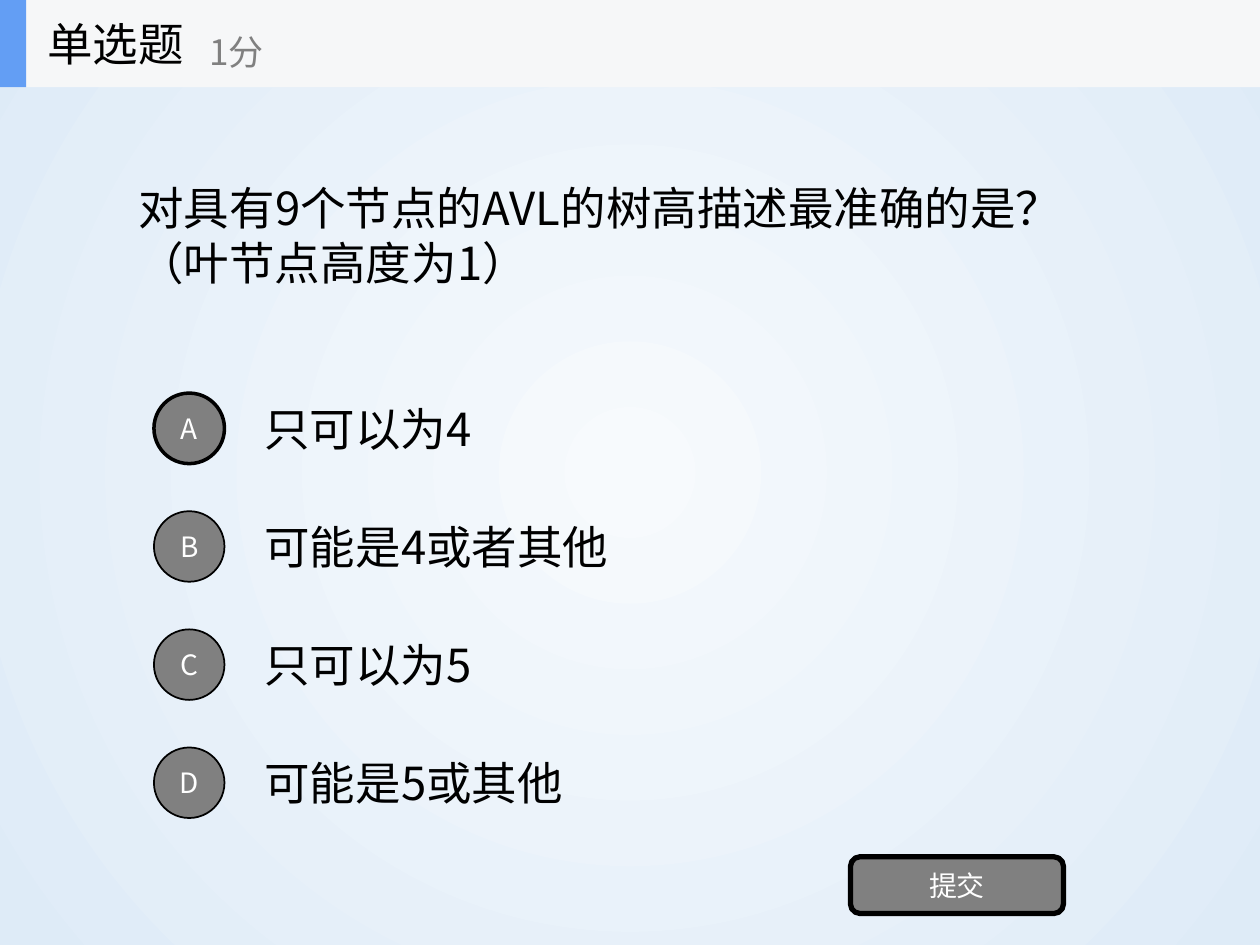
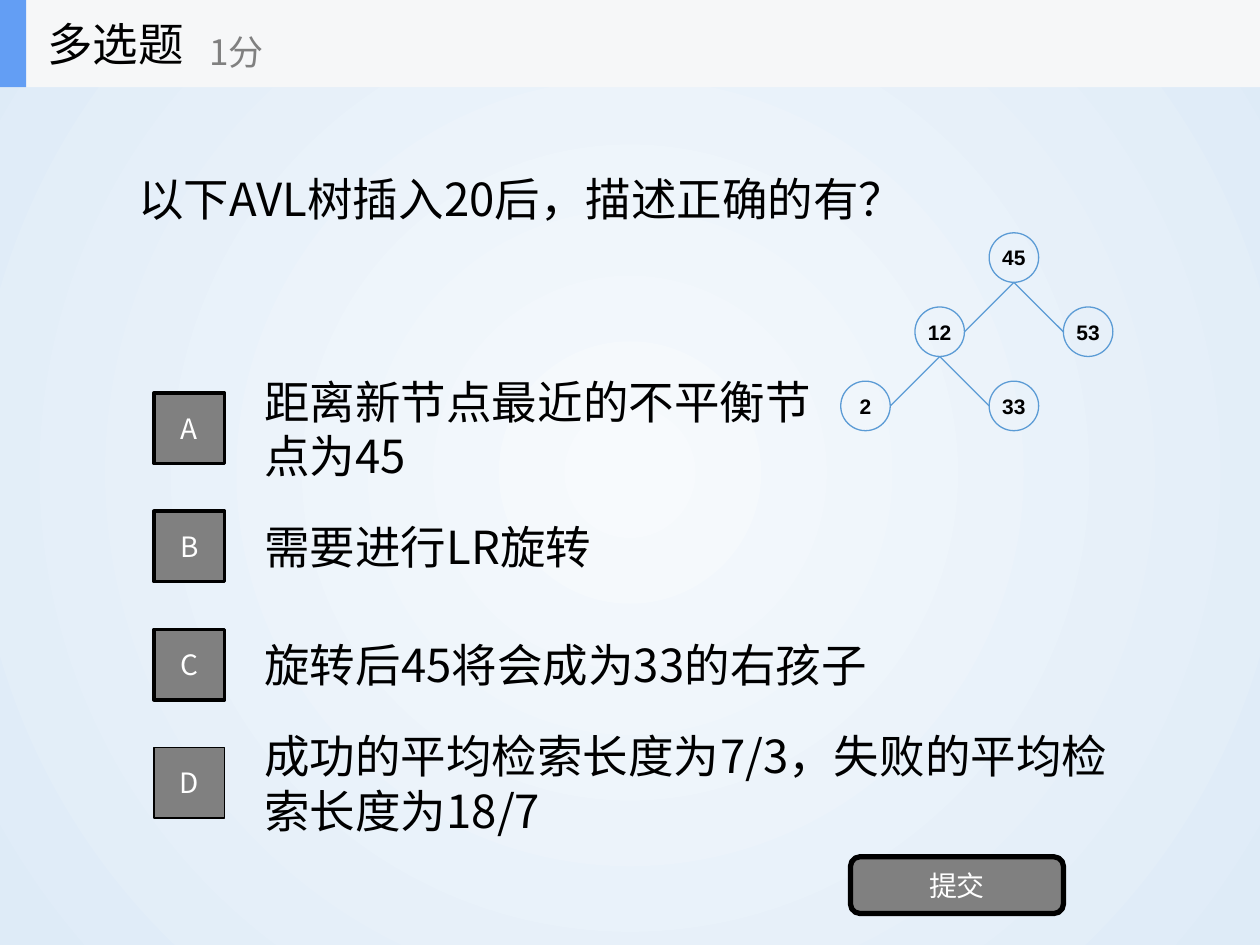
from lxml import etree
from pptx import Presentation
from pptx.dml.color import RGBColor
from pptx.enum import shapes, text
from pptx.oxml import ns
from pptx.util import Pt

SHAPE = shapes.MSO_SHAPE
CJK = "Noto Sans CJK SC"
BLACK, WHITE, GREY = "000000", "FFFFFF", "808080"
BAND, ACCENT, TREE_LINE = "F6F7F8", "639EF4", "5B9BD5"
GLOW_CENTRE, GLOW_EDGE = "F7FAFD", "DEEBF7"
PAGE_WIDTH, PAGE_HEIGHT = 720, 540
OPTION_PITCH, OPTION_HEIGHT, MARKER_SIZE = 67.5, 50.4, 40.3
NODE_SIZE, LEVEL_STEP = 28.3, 42.4


def colour(hex_string):
    """Turn a hex string into a colour."""
    return RGBColor.from_string(hex_string)


def write(shape, words, size, ink, font=CJK, bold=None, centred=False, wrap=True):
    """Write one middle-anchored paragraph into a shape."""
    frame = shape.text_frame
    frame.word_wrap = wrap
    frame.vertical_anchor = text.MSO_ANCHOR.MIDDLE
    para = frame.paragraphs[0]
    para.alignment = text.PP_ALIGN.CENTER if centred else text.PP_ALIGN.LEFT
    span = para.add_run()
    span.text = words
    span.font.size = Pt(size)
    span.font.name = font
    span.font.bold = bold
    span.font.color.rgb = colour(ink)
    etree.SubElement(span.font._element, ns.qn("a:ea"), typeface=font)


def add_label(parent, box, words, size, ink=BLACK, wrap=True):
    """Add a text box at the given left, top, width and height."""
    label = parent.add_textbox(*map(Pt, box))
    write(label, words, size, ink, wrap=wrap)


def add_figure(parent, kind, box, fill=None, line=None, weight=1):
    """Add a preset shape with an optional fill and outline."""
    figure = parent.add_shape(kind, *map(Pt, box))
    figure.shadow.inherit = False
    if fill:
        figure.fill.solid()
        figure.fill.fore_color.rgb = colour(fill)
    else:
        figure.fill.background()
    if line:
        figure.line.color.rgb = colour(line)
        figure.line.width = Pt(weight)
    else:
        figure.line.fill.background()
    return figure


def paint_background(master):
    """Give the master a round glow from the centre outwards."""
    fill = master.background.fill
    fill.gradient()
    for stop, shade in zip(fill.gradient_stops, (GLOW_CENTRE, GLOW_EDGE)):
        stop.color.rgb = colour(shade)
    linear = master.element.find(".//" + ns.qn("p:bgPr")).find(".//" + ns.qn("a:lin"))
    glow = etree.Element(ns.qn("a:path"), {"path": "circle"})
    etree.SubElement(glow, ns.qn("a:fillToRect"), dict.fromkeys("ltrb", "50000"))
    linear.getparent().replace(linear, glow)


def add_header(page, title, score):
    """Draw the top band with the question type and its score."""
    band = page.shapes.add_group_shape().shapes
    height = 49.8
    add_figure(band, SHAPE.RECTANGLE, (0, 0, PAGE_WIDTH, height), BAND)
    add_figure(band, SHAPE.RECTANGLE, (0, 0, 15, height), ACCENT)
    add_label(band, (20, 0, 150, height), title, 26, wrap=False)
    add_label(band, (112.5, 9, 180, 40.3), score, 20, GREY, wrap=False)


def add_options(page, marker_kind, options, left=88, top=219.6):
    """List the lettered options as (words, text width, marker outline) rows."""
    for row, (letter, (words, width, weight)) in enumerate(zip("ABCD", options)):
        y = top + row * OPTION_PITCH
        marker_top = y + (OPTION_HEIGHT - MARKER_SIZE) / 2
        add_label(page.shapes, (left + 56, y, width, OPTION_HEIGHT), words, 26)
        marker = add_figure(page.shapes, marker_kind,
                            (left, marker_top, MARKER_SIZE, MARKER_SIZE), GREY, BLACK, weight)
        write(marker, letter, 16, WHITE, centred=True, wrap=False)


def add_submit(page):
    """Draw the submit button."""
    button = add_figure(page.shapes, SHAPE.ROUNDED_RECTANGLE, (486, 489.6, 121.7, 32.4),
                        GREY, BLACK, 3)
    write(button, "提交", 16, WHITE, centred=True)


def add_tree(page, tree, x, y):
    """Draw a (key, left, right) tree whose root has its centre at x, y."""
    key, *children = tree
    radius = NODE_SIZE / 2
    node = add_figure(page.shapes, SHAPE.OVAL, (x - radius, y - radius, NODE_SIZE, NODE_SIZE),
                      line=TREE_LINE, weight=0.75)
    frame = node.text_frame
    frame.margin_left = frame.margin_right = frame.margin_top = frame.margin_bottom = 0
    write(node, key, 12, BLACK, "Arial", bold=True, centred=True, wrap=False)
    for side, child in zip((-1, 1), children):
        child_x, child_y = x + side * LEVEL_STEP, y + LEVEL_STEP
        edge = page.shapes.add_connector(shapes.MSO_CONNECTOR.STRAIGHT, Pt(x), Pt(y + radius),
                                         Pt(child_x - side * radius), Pt(child_y))
        edge.line.color.rgb = colour(TREE_LINE)
        edge.line.width = Pt(0.75)
        etree.SubElement(edge._element.spPr, ns.qn("a:effectLst"))
        add_tree(page, child, child_x, child_y)


def add_question(deck, title, question, height, marker_kind, options):
    """Add a question page with its header, options and button."""
    page = deck.slides.add_slide(deck.slide_layouts[6])
    add_label(page.shapes, (72, 49.8, 576, height), question, 26)
    add_options(page, marker_kind, options)
    add_submit(page)
    add_header(page, title, "1分")
    return page


def main():
    """Build the two quiz pages."""
    deck = Presentation()
    deck.slide_width, deck.slide_height = Pt(PAGE_WIDTH), Pt(PAGE_HEIGHT)
    paint_background(deck.slide_master)
    add_question(deck, "单选题", "对具有9个节点的AVL的树高描述最准确的是？（叶节点高度为1）",
                 168.5, SHAPE.OVAL, [
                     ("只可以为4", 504, 2),
                     ("可能是4或者其他", 504, 1),
                     ("只可以为5", 504, 1),
                     ("可能是5或其他", 504, 1),
                 ])
    page = add_question(deck, "多选题", "以下AVL树插入20后，描述正确的有？",
                        127.5, SHAPE.RECTANGLE, [
                            ("距离新节点最近的不平衡节点为45", 342, 2),
                            ("需要进行LR旋转", 504, 2),
                            ("旋转后45将会成为33的右孩子", 504, 2),
                            ("成功的平均检索长度为7/3，失败的平均检索长度为18/7", 504, 1),
                        ])
    add_tree(page, ("45", ("12", ("2",), ("33",)), ("53",)), 579.4, 147.2)
    deck.save("out.pptx")


if __name__ == "__main__":
    main()
